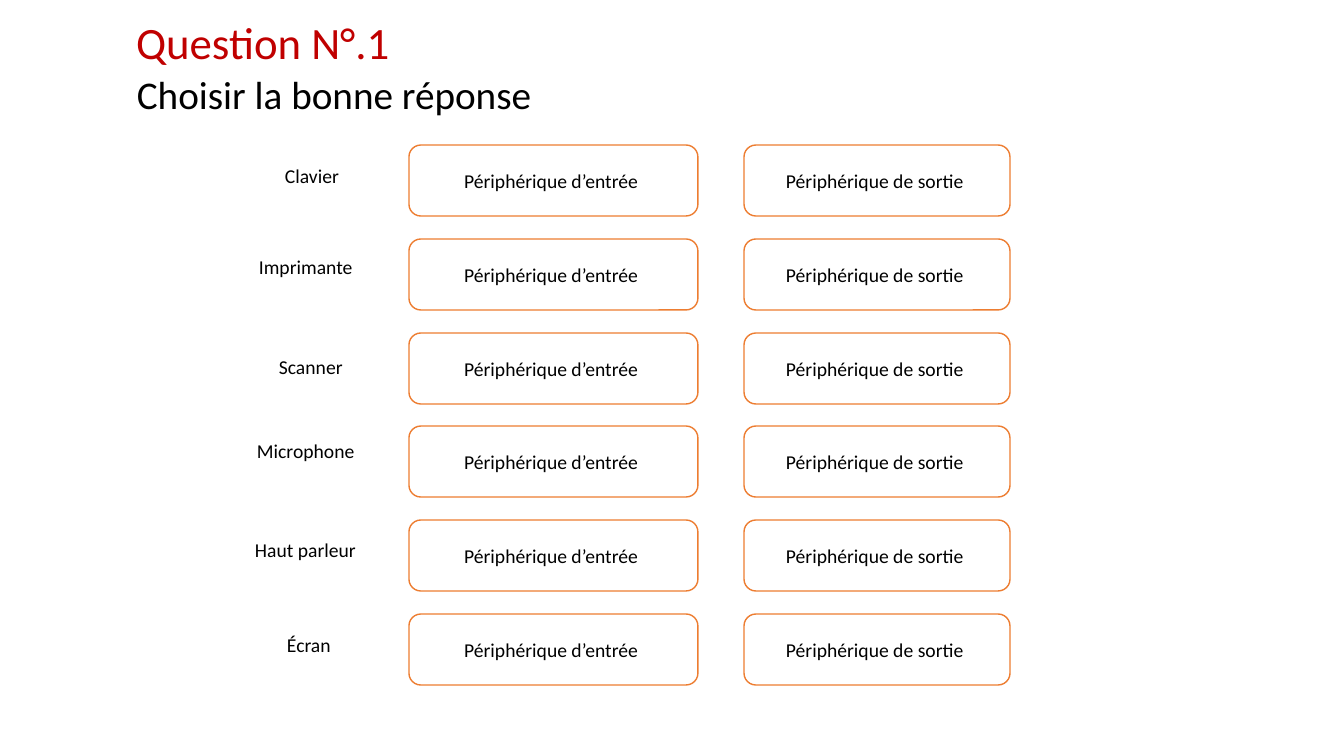
"""Build a quiz slide that sorts devices into input and output peripherals."""
from pptx import Presentation
from pptx.dml.color import RGBColor
from pptx.enum.shapes import MSO_SHAPE
from pptx.enum.text import MSO_ANCHOR, MSO_AUTO_SIZE, PP_ALIGN
from pptx.util import Pt

PX = 914400 / 100.8
BLACK = RGBColor(0x00, 0x00, 0x00)
WHITE = RGBColor(0xFF, 0xFF, 0xFF)
RED = RGBColor(0xC0, 0x00, 0x00)
ORANGE = RGBColor(0xED, 0x7D, 0x31)
FIRST_TOP, LAST_TOP, ANSWER_HEIGHT = 145, 614, 71

DEVICES = [
    ("Clavier", 275, 159, 76, 34),
    ("Imprimante", 249, 250, 115, 34),
    ("Scanner", 269, 350, 85, 34),
    ("Microphone", 247, 434, 119, 34),
    ("Haut parleur", 245, 533, 123, 57),
    ("Écran", 277, 628, 69, 34),
]
ANSWERS = [
    ("Périphérique d’entrée ", 409, 289),
    ("Périphérique de sortie ", 744, 266),
]


def px(*lengths):
    return [round(length * PX) for length in lengths]


def write(shape, text, size, color, align=PP_ALIGN.LEFT, anchor=MSO_ANCHOR.TOP):
    frame = shape.text_frame
    frame.text = text
    frame.vertical_anchor = anchor
    paragraph = frame.paragraphs[0]
    paragraph.alignment = align
    font = paragraph.runs[0].font
    font.name = "Calibri"
    font.size = Pt(size)
    font.color.rgb = color
    return frame


presentation = Presentation()
presentation.slide_width, presentation.slide_height = px(1344, 756)
slide = presentation.slides.add_slide(presentation.slide_layouts[5])
shapes = slide.shapes

title = shapes.title
title.left, title.top, title.width, title.height = px(126, 2, 455, 85)
title_frame = write(title, "Question N°.1", 32, RED, anchor=MSO_ANCHOR.MIDDLE)
title_frame.paragraphs[0].line_spacing = 0.9

instruction = shapes.add_textbox(*px(127, 71, 715, 60))
instruction_frame = write(instruction, "Choisir la bonne réponse", 28, BLACK)
instruction_frame.word_wrap = True
instruction_frame.paragraphs[0].line_spacing = 0.9

row_pitch = (LAST_TOP - FIRST_TOP) / (len(DEVICES) - 1)
for row, (device, left, top, width, height) in enumerate(DEVICES):
    label = shapes.add_textbox(*px(left, top, width, height))
    label_frame = write(label, device, 14, BLACK)
    label_frame.word_wrap = False
    label_frame.auto_size = MSO_AUTO_SIZE.SHAPE_TO_FIT_TEXT

    answer_top = round(FIRST_TOP + row * row_pitch)
    for answer, answer_left, answer_width in ANSWERS:
        box = shapes.add_shape(
            MSO_SHAPE.ROUNDED_RECTANGLE,
            *px(answer_left, answer_top, answer_width, ANSWER_HEIGHT),
        )
        box.shadow.inherit = False
        box.fill.solid()
        box.fill.fore_color.rgb = WHITE
        box.line.color.rgb = ORANGE
        box.line.width = Pt(1)
        write(box, answer, 14, BLACK, PP_ALIGN.CENTER, MSO_ANCHOR.MIDDLE)

presentation.save("out.pptx")
